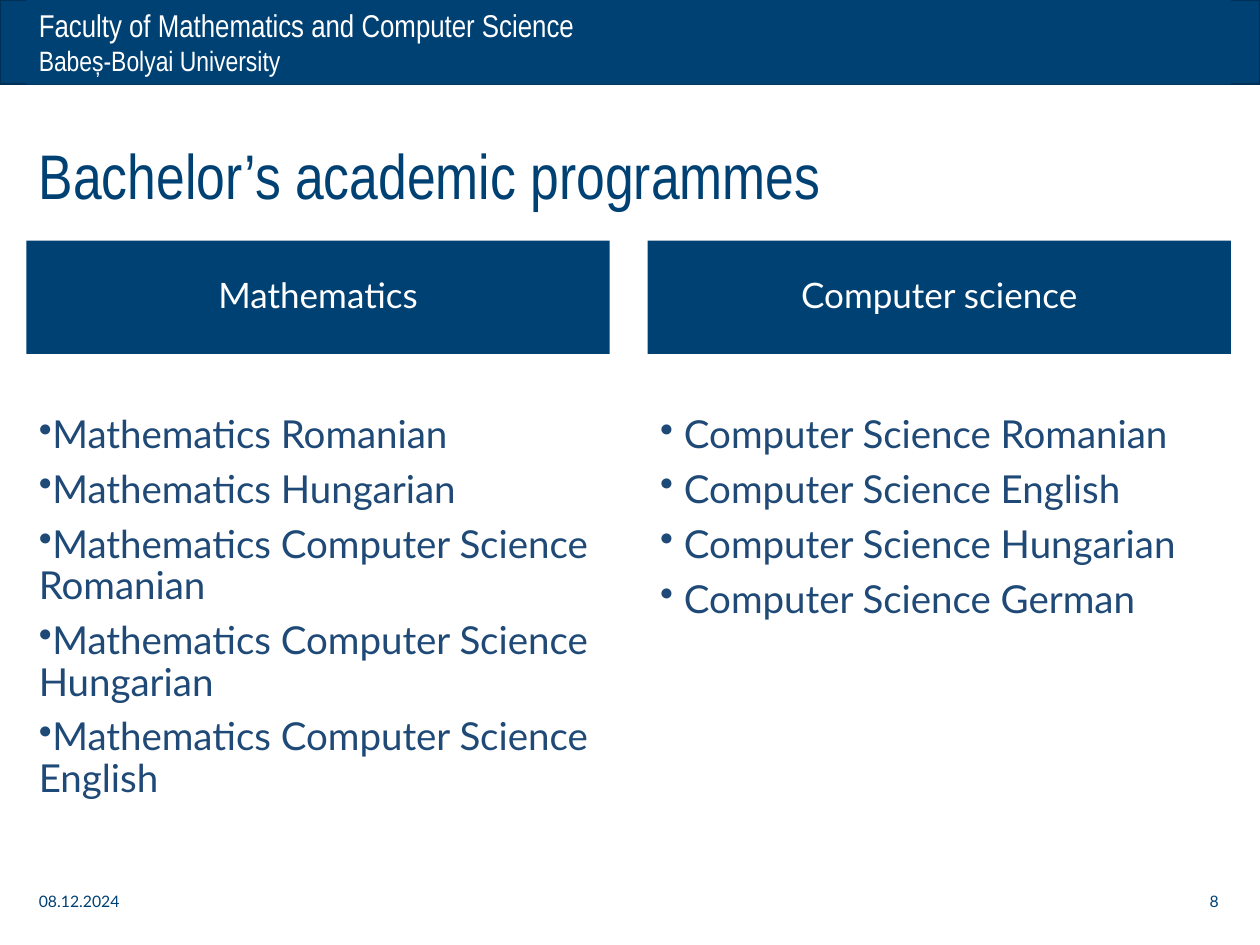
from dataclasses import dataclass

from lxml.etree import SubElement
from pptx import Presentation
from pptx.dml.color import RGBColor
from pptx.enum.shapes import MSO_SHAPE as Preset
from pptx.enum.text import MSO_ANCHOR as Anchor, PP_ALIGN as Align
from pptx.oxml.ns import qn
from pptx.util import Inches, Pt


@dataclass(frozen=True)
class Theme:
    navy: RGBColor = RGBColor(0x00, 0x41, 0x74)
    outline: RGBColor = RGBColor(0x00, 0x30, 0x56)
    body: RGBColor = RGBColor(0x1F, 0x49, 0x76)
    white: RGBColor = RGBColor(0xFF, 0xFF, 0xFF)
    heading_font: str = "Arial Narrow"
    body_font: str = "Lato"
    title_size: int = 36
    list_size: int = 22
    column_size: int = 20
    faculty_size: int = 18
    university_size: int = 16
    footer_size: int = 9


THEME = Theme()
MARGIN = 0.21
CONTENT_WIDTH = 9.56
COLUMN_WIDTH = 4.63
COLUMNS = [
    ("Mathematics", 0, [
        "Mathematics Romanian",
        "Mathematics Hungarian",
        "Mathematics Computer Science Romanian",
        "Mathematics Computer Science Hungarian",
        "Mathematics Computer Science English",
    ]),
    ("Computer science", 0.19, [
        "Computer Science Romanian",
        "Computer Science English",
        "Computer Science Hungarian",
        "Computer Science German",
    ]),
]


def add_bar(slide, left, top, width, height, line=None):
    shape = slide.shapes.add_shape(
        Preset.RECTANGLE, Inches(left), Inches(top), Inches(width), Inches(height))
    shape.shadow.inherit = False
    shape.fill.solid()
    shape.fill.fore_color.rgb = THEME.navy
    if line is None:
        shape.line.fill.background()
    else:
        shape.line.color.rgb = line
        shape.line.width = Pt(1)
    return shape


def add_box(slide, left, top, width, height):
    return slide.shapes.add_textbox(
        Inches(left), Inches(top), Inches(width), Inches(height))


def add_bullet(paragraph, hanging):
    properties = paragraph._p.get_or_add_pPr()
    properties.set("marL", str(Inches(hanging)))
    properties.set("indent", str(-Inches(hanging)))
    SubElement(properties, qn("a:buChar")).set("char", "•")


def write(shape, paragraphs, *, size, color, font=THEME.body_font, align=Align.LEFT,
          anchor=Anchor.MIDDLE, line_spacing=None, space_before=0, hanging=None):
    """Fill a shape with paragraphs; a hanging indent makes them bullets."""
    frame = shape.text_frame
    frame.word_wrap = True
    frame.vertical_anchor = anchor
    for index, text in enumerate(paragraphs):
        paragraph = frame.add_paragraph() if index else frame.paragraphs[0]
        if hanging is not None:
            add_bullet(paragraph, hanging)
        paragraph.text = text
        paragraph.alignment = align
        paragraph.line_spacing = line_spacing
        if index:
            paragraph.space_before = Pt(space_before)
        for run in paragraph.runs:
            run.font.name = font
            run.font.size = Pt(size)
            run.font.color.rgb = color


def add_header(slide):
    add_bar(slide, 0, 0, 10, 0.67, line=THEME.outline)
    header = add_bar(slide, MARGIN, 0, CONTENT_WIDTH, 0.67)
    write(header, ["Faculty of Mathematics and Computer Science\vBabeș-Bolyai University"],
          size=THEME.faculty_size, color=THEME.white, font=THEME.heading_font,
          anchor=Anchor.TOP)
    university = header.text_frame.paragraphs[0].runs[1]
    university.font.size = Pt(THEME.university_size)


def add_column(slide, left, heading, hanging, programmes):
    write(add_bar(slide, left, 1.91, COLUMN_WIDTH, 0.9), [heading],
          size=THEME.column_size, color=THEME.white, align=Align.CENTER, line_spacing=0.9)
    write(add_box(slide, left, 3.25, COLUMN_WIDTH, 3.59), programmes,
          size=THEME.list_size, color=THEME.body, anchor=Anchor.TOP,
          line_spacing=0.9, space_before=7.5, hanging=hanging)


def add_footer(slide):
    width = 2.25
    right = MARGIN + CONTENT_WIDTH - width
    for text, left, align in (("08.12.2024", MARGIN, Align.LEFT), ("8", right, Align.RIGHT)):
        write(add_box(slide, left, 6.95, width, 0.4), [text],
              size=THEME.footer_size, color=THEME.navy, align=align)


def main():
    presentation = Presentation()
    presentation.slide_width = Inches(10)
    presentation.slide_height = Inches(7.5)
    slide = presentation.slides.add_slide(presentation.slide_layouts[6])

    add_header(slide)
    write(add_box(slide, MARGIN, 0.96, CONTENT_WIDTH, 0.84),
          ["Bachelor’s academic programmes"],
          size=THEME.title_size, color=THEME.navy, font=THEME.heading_font)
    column_step = CONTENT_WIDTH - COLUMN_WIDTH
    for index, (heading, hanging, programmes) in enumerate(COLUMNS):
        add_column(slide, MARGIN + index * column_step, heading, hanging, programmes)
    add_footer(slide)

    presentation.save("out.pptx")


if __name__ == "__main__":
    main()
